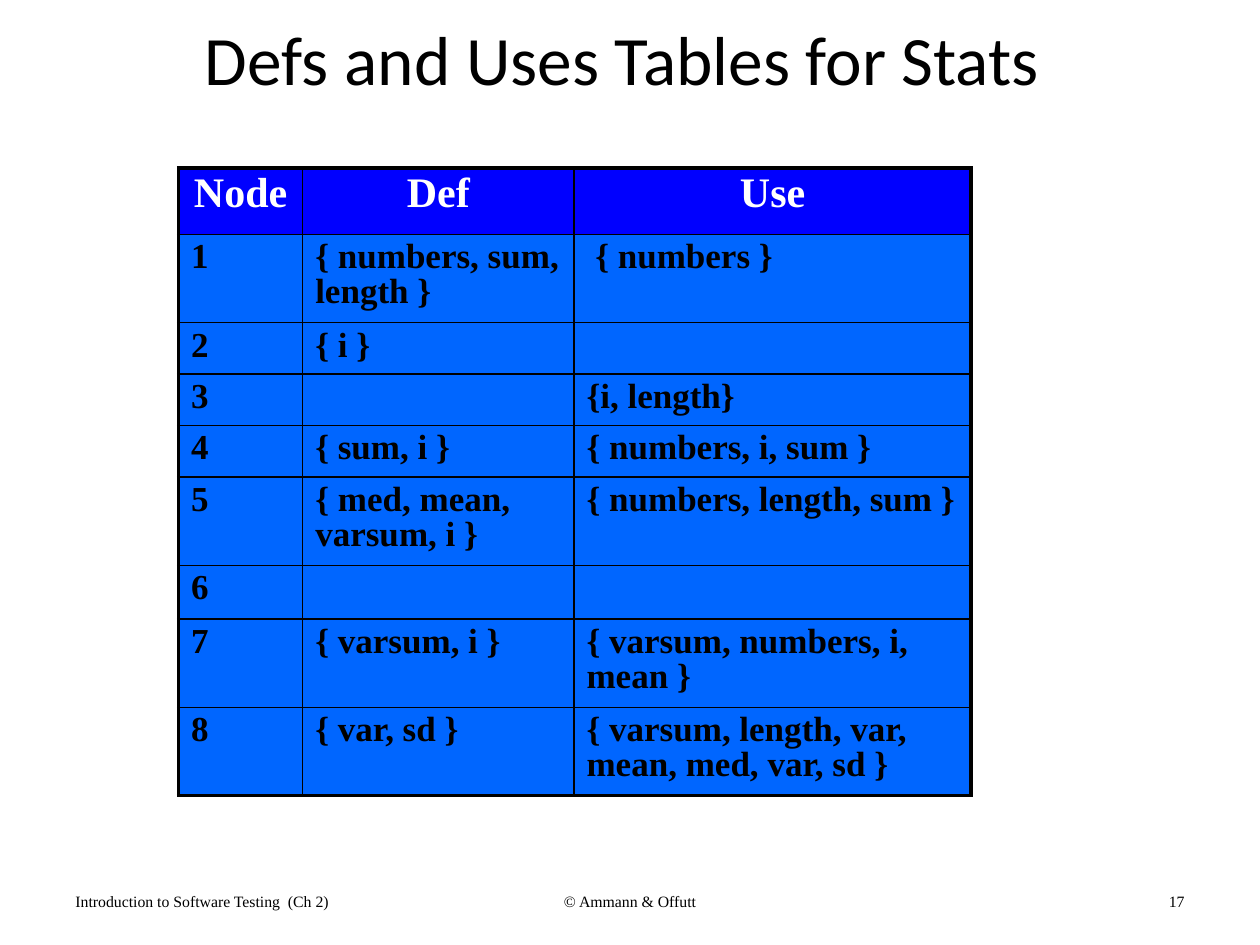
"""Build the slide with the table of defs and uses per node."""
from lxml import etree
from pptx import Presentation
from pptx.dml.color import RGBColor
from pptx.enum.text import MSO_ANCHOR, PP_ALIGN
from pptx.oxml.ns import qn
from pptx.util import Pt

LEFT, CENTER, RIGHT = PP_ALIGN.LEFT, PP_ALIGN.CENTER, PP_ALIGN.RIGHT
MIDDLE = MSO_ANCHOR.MIDDLE
BLACK, WHITE, HEADER_BLUE, BODY_BLUE = "000000", "FFFFFF", "0000FF", "0066FF"
SERIF, SANS = "Times New Roman", "Calibri"
THIN, THICK = 1, 2.25

TITLE = "Defs and Uses Tables for Stats "
FOOTERS = [
    ("Introduction to Software Testing  (Ch 2)", 36, 168, LEFT),
    ("© Ammann & Offutt", 246, 228, CENTER),
    ("17", 516, 168, RIGHT),
]
HEADER = ("Node", "Def", "Use")
DEFS_AND_USES = [
    ("{ numbers, sum, length }", " { numbers }"),
    ("{ i }", ""),
    ("", "{i, length}"),
    ("{ sum, i }", "{ numbers, i, sum }"),
    ("{ med, mean, varsum, i }", "{ numbers, length, sum }"),
    ("", ""),
    ("{ varsum, i }", "{ varsum, numbers, i, mean }"),
    ("{ var, sd }", "{ varsum, length, var, mean, med, var, sd }"),
]
COLUMN_WIDTHS = (71, 155, 227)
ROW_HEIGHTS = (38, 50.4, 29.4, 29.4, 29.4, 50.4, 30.8, 50.4, 50.4)
TABLE_LEFT, TABLE_TOP = 102, 96


def rgb(value):
    return RGBColor.from_string(value)


def write(paragraph, text, size, font, color, align, bold=False):
    paragraph.alignment = align
    run = paragraph.add_run()
    run.text = text
    run.font.size, run.font.name, run.font.bold = Pt(size), font, bold
    run.font.color.rgb = rgb(color)


def add_line_of_text(slide, box, text, size, font, align):
    frame = slide.shapes.add_textbox(*map(Pt, box)).text_frame
    frame.word_wrap = True
    frame.vertical_anchor = MIDDLE
    write(frame.paragraphs[0], text, size, font, BLACK, align)


def set_borders(cell, widths):
    properties = cell._tc.get_or_add_tcPr()
    for index, (side, width) in enumerate(widths.items()):
        line = etree.Element(qn(f"a:ln{side}"), w=str(Pt(width)))
        fill = etree.SubElement(line, qn("a:solidFill"))
        etree.SubElement(fill, qn("a:srgbClr"), val=BLACK)
        properties.insert(index, line)


def add_node_table(slide):
    rows = [HEADER] + [(str(node), *sets) for node, sets in enumerate(DEFS_AND_USES, 1)]
    last_row, last_column = len(rows) - 1, len(HEADER) - 1
    table = slide.shapes.add_table(
        len(rows), len(HEADER), Pt(TABLE_LEFT), Pt(TABLE_TOP),
        Pt(sum(COLUMN_WIDTHS)), Pt(sum(ROW_HEIGHTS))).table
    for column, width in zip(table.columns, COLUMN_WIDTHS):
        column.width = Pt(width)
    for r, texts in enumerate(rows):
        table.rows[r].height = Pt(ROW_HEIGHTS[r])
        fill, color, size, align = (
            (BODY_BLUE, BLACK, 20, LEFT) if r else (HEADER_BLUE, WHITE, 24, CENTER))
        for c, text in enumerate(texts):
            cell = table.cell(r, c)
            cell.fill.solid()
            cell.fill.fore_color.rgb = rgb(fill)
            outer = {"L": c == 0, "R": c == last_column, "T": r == 0, "B": r == last_row}
            set_borders(cell, {side: THICK if edge else THIN for side, edge in outer.items()})
            if text:
                paragraph = cell.text_frame.paragraphs[0]
                paragraph.line_spacing = 0.9
                write(paragraph, text, size, SERIF, color, align, bold=True)


def main():
    presentation = Presentation()
    presentation.slide_width, presentation.slide_height = Pt(720), Pt(540)
    slide = presentation.slides.add_slide(presentation.slide_layouts[6])
    for text, left, width, align in FOOTERS:
        add_line_of_text(slide, (left, 500.4, width, 28.8), text, 9, SERIF, align)
    add_line_of_text(slide, (36, 6, 648, 54), TITLE, 39.6, SANS, CENTER)
    add_node_table(slide)
    presentation.save("out.pptx")


if __name__ == "__main__":
    main()
